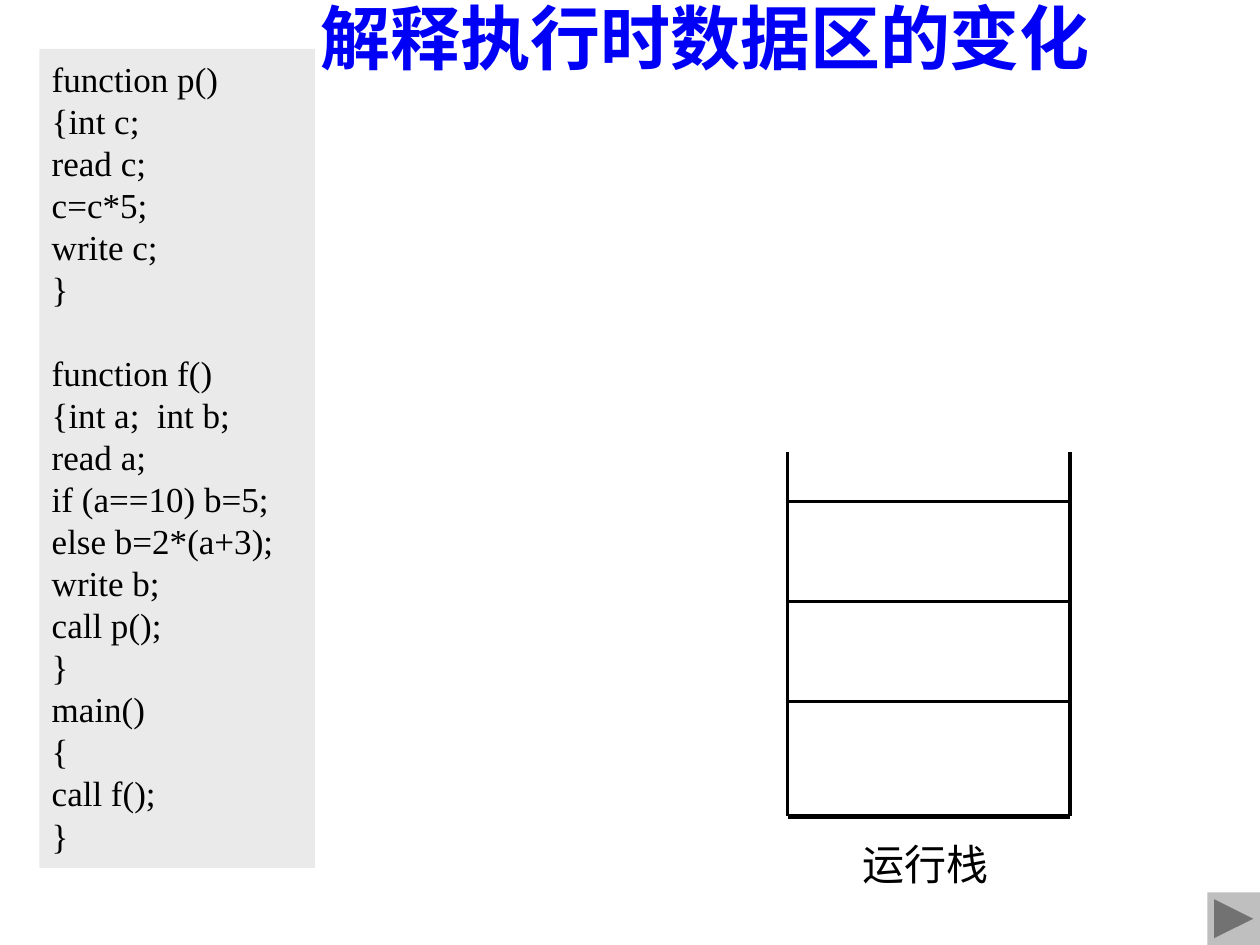
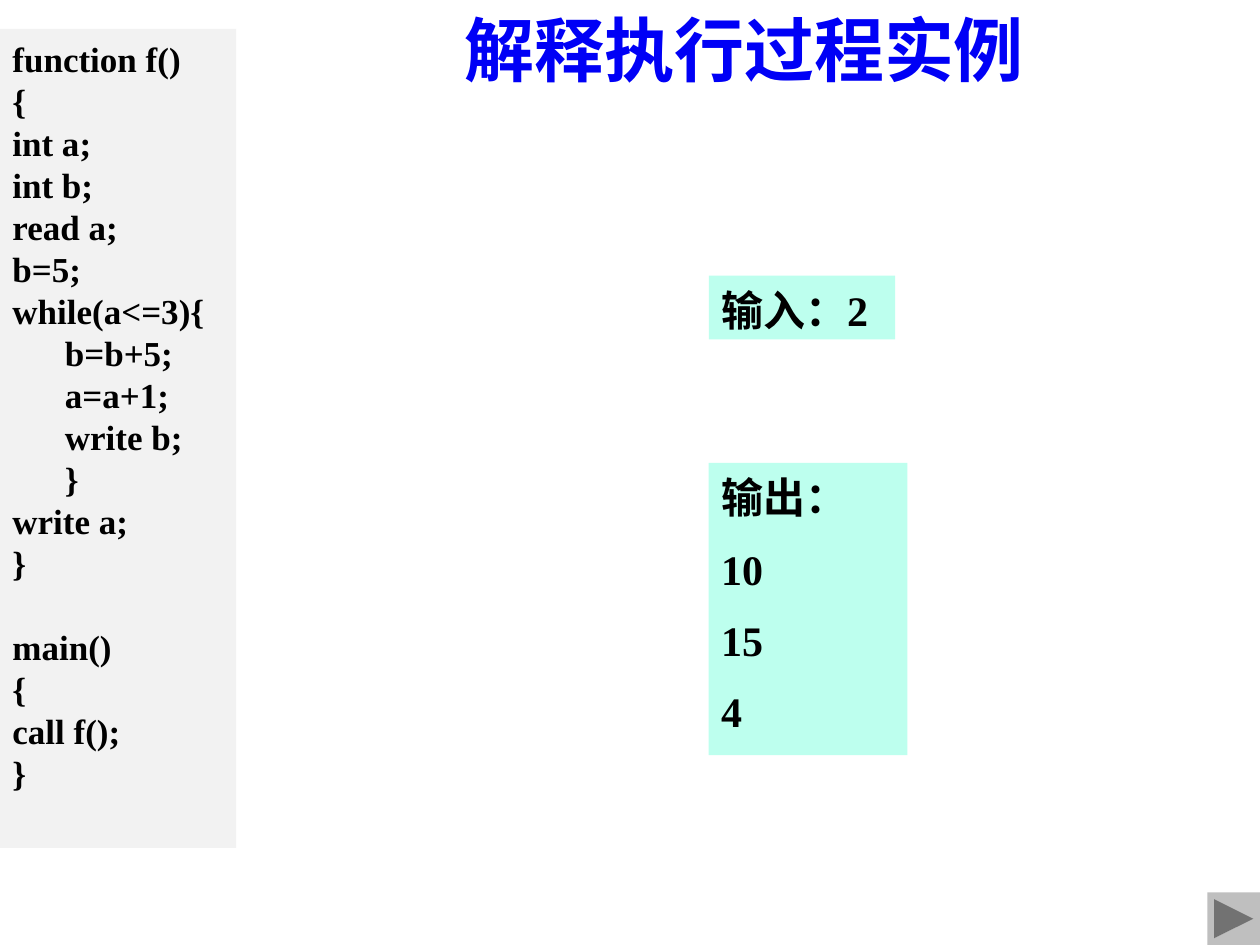
from pptx import Presentation
from pptx.dml.color import RGBColor
from pptx.enum.shapes import MSO_CONNECTOR, MSO_SHAPE
from pptx.enum.text import MSO_ANCHOR, MSO_AUTO_SIZE, PP_ALIGN
from pptx.oxml.ns import qn
from pptx.util import Pt

COLORS = {
    "title": "0000F6",
    "text": "000000",
    "data_area_code": "EAEAEA",
    "example_code": "F2F2F2",
    "console": "BDFFEE",
    "button": "BFBFBF",
}
LATIN_FONT = "Times New Roman"
CJK_FONT = "Noto Sans CJK SC"
LINE_HEIGHT = 1.2

DATA_AREA_CODE = """function p()
{int c;
read c;
c=c*5;
write c;
}

function f()
{int a;  int b;
read a;
if (a==10) b=5;
else b=2*(a+3);
write b;
call p();
}
main()
{
call f();
}"""

EXAMPLE_CODE = """function f()
{
int a;
int b;
read a;
b=5;
while(a<=3){
      b=b+5;
      a=a+1;
      write b;
      }
write a;
}

main()
{
call f();
}"""


def rgb(name):
    return RGBColor.from_string(COLORS[name])


def add_run(paragraph, text, size, color="text", bold=False, latin=LATIN_FONT):
    run = paragraph.add_run()
    run.text = text
    font = run.font
    font.size, font.bold, font.name = Pt(size), bold, latin
    font.color.rgb = rgb(color)
    east_asian = run._r.get_or_add_rPr().makeelement(qn("a:ea"), {"typeface": CJK_FONT})
    font._element.find(qn("a:latin")).addnext(east_asian)


def add_title(slide, text, left, width, height):
    title = slide.shapes.title
    title.left, title.top, title.width, title.height = Pt(left), Pt(0), Pt(width), Pt(height)
    frame = title.text_frame
    frame.auto_size = MSO_AUTO_SIZE.NONE
    frame.vertical_anchor = MSO_ANCHOR.MIDDLE
    frame.paragraphs[0].alignment = PP_ALIGN.CENTER
    add_run(frame.paragraphs[0], text, 40, "title", True, CJK_FONT)


def add_block(slide, shape_type, left, top, width, height, fill):
    block = slide.shapes.add_shape(shape_type, Pt(left), Pt(top), Pt(width), Pt(height))
    block.shadow.inherit = False
    block.fill.solid()
    block.fill.fore_color.rgb = rgb(fill)
    block.line.fill.background()
    return block


def write_lines(frame, lines, size, bold=False, gap=0):
    """Write one paragraph per line; an empty line becomes extra space."""
    frame.word_wrap = True
    frame.vertical_anchor = MSO_ANCHOR.TOP
    frame.margin_top = Pt(5)
    line_height = size * LINE_HEIGHT
    paragraph, space = frame.paragraphs[0], 0
    for number, line in enumerate(lines):
        if not line:
            space += line_height
            continue
        if number:
            paragraph = frame.add_paragraph()
        paragraph.alignment = PP_ALIGN.LEFT
        paragraph.line_spacing = Pt(line_height)
        paragraph.space_before = Pt(space)
        add_run(paragraph, line, size, bold=bold)
        space = gap


def add_text_panel(slide, lines, box, fill, size, bold=False, gap=0):
    panel = add_block(slide, MSO_SHAPE.RECTANGLE, *box, fill)
    write_lines(panel.text_frame, lines, size, bold, gap)


def add_rule(slide, start, end, weight):
    rule = slide.shapes.add_connector(MSO_CONNECTOR.STRAIGHT, *map(Pt, start + end))
    rule.line.color.rgb = rgb("text")
    rule.line.width = Pt(weight)
    properties = rule._element.spPr
    properties.append(properties.makeelement(qn("a:effectLst"), {}))


def add_stack(slide, left, right, top, bottom):
    add_rule(slide, (left, bottom), (right, bottom), 3)
    first_cell, cell_height = 286.5, 57.25
    for row in range(3):
        y = first_cell + row * cell_height
        add_rule(slide, (left, y), (right, y), 1.5)
    for wall in (left, right):
        add_rule(slide, (wall, top), (wall, bottom), 2.25)
    caption = slide.shapes.add_textbox(Pt(486), Pt(474), Pt(168), Pt(44))
    write_lines(caption.text_frame, ["运行栈"], 24)


def add_next_button(slide):
    add_block(slide, MSO_SHAPE.ACTION_BUTTON_FORWARD_OR_NEXT, 690, 510, 30, 30, "button")


def main():
    deck = Presentation()
    deck.slide_width, deck.slide_height = Pt(720), Pt(540)
    title_only = deck.slide_layouts[5]

    # Data area during interpretation
    data_area = deck.slides.add_slide(title_only)
    add_text_panel(data_area, DATA_AREA_CODE.split("\n"),
                   (22.5, 28, 157.5, 468), "data_area_code", 20)
    add_title(data_area, "解释执行时数据区的变化", 152, 502, 42)
    add_stack(data_area, 450, 611.5, 258.5, 466.5)
    add_next_button(data_area)

    # Example run with its input and output
    example = deck.slides.add_slide(title_only)
    add_text_panel(example, ["输入：2"], (405, 157.5, 106.5, 36.5), "console", 24, True)
    add_text_panel(example, ["输出：", "10", "15", "4"],
                   (405, 264.5, 113.5, 167), "console", 24, True, gap=12)
    add_text_panel(example, EXAMPLE_CODE.split("\n"),
                   (0, 16.5, 135, 468), "example_code", 20, True)
    add_title(example, "解释执行过程实例", 256, 338.5, 55)
    add_next_button(example)

    deck.save("out.pptx")


if __name__ == "__main__":
    main()
